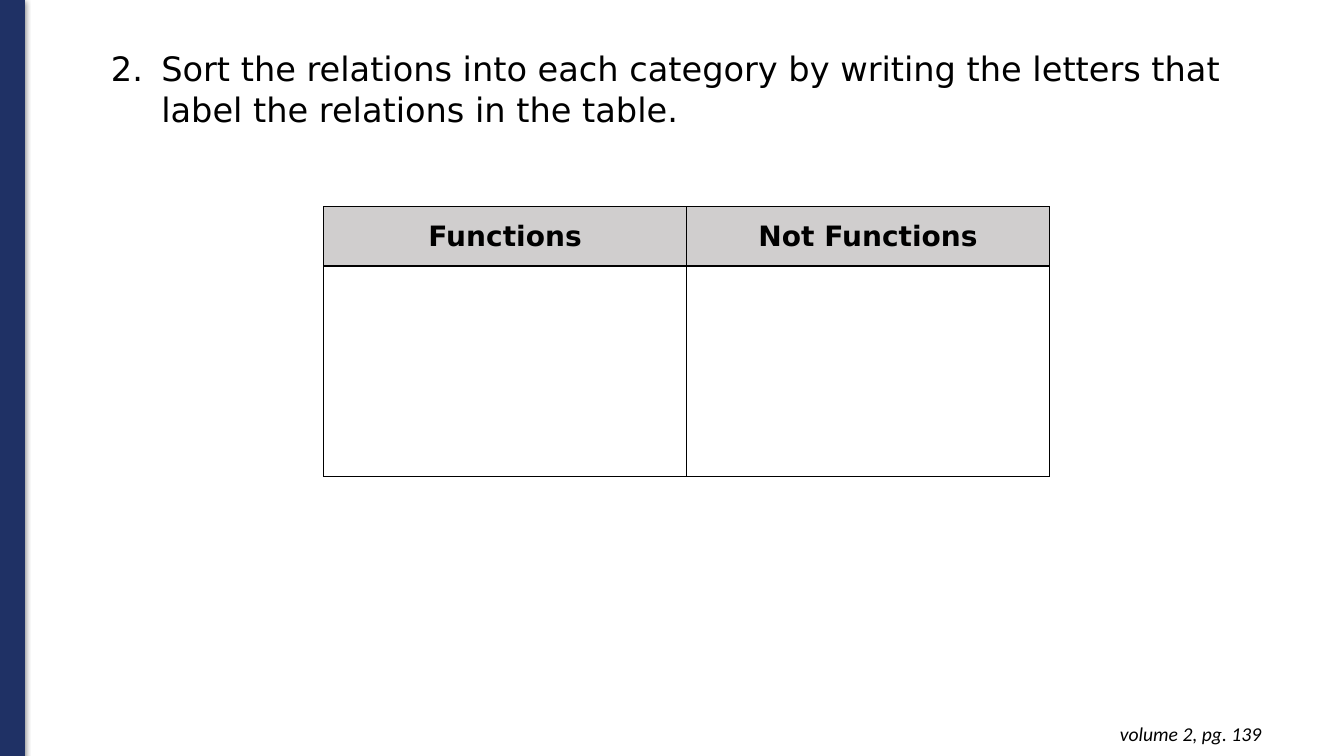
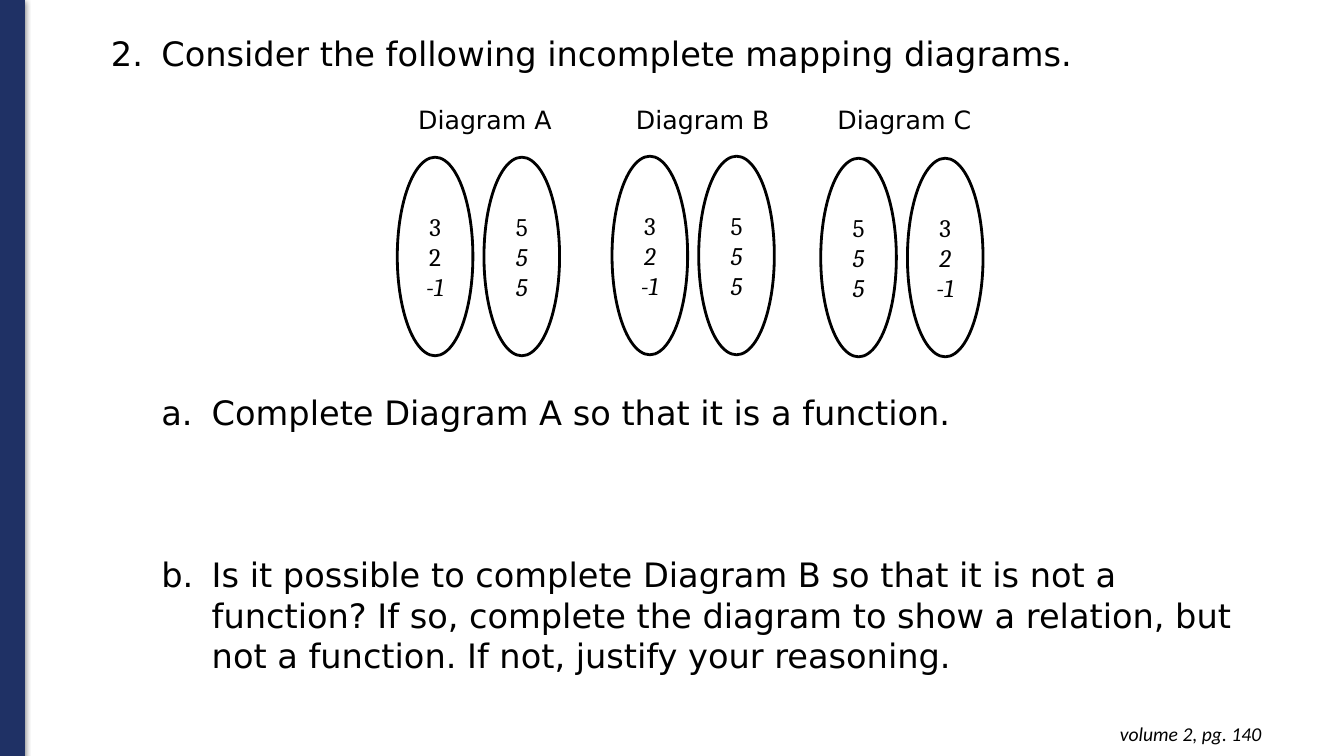
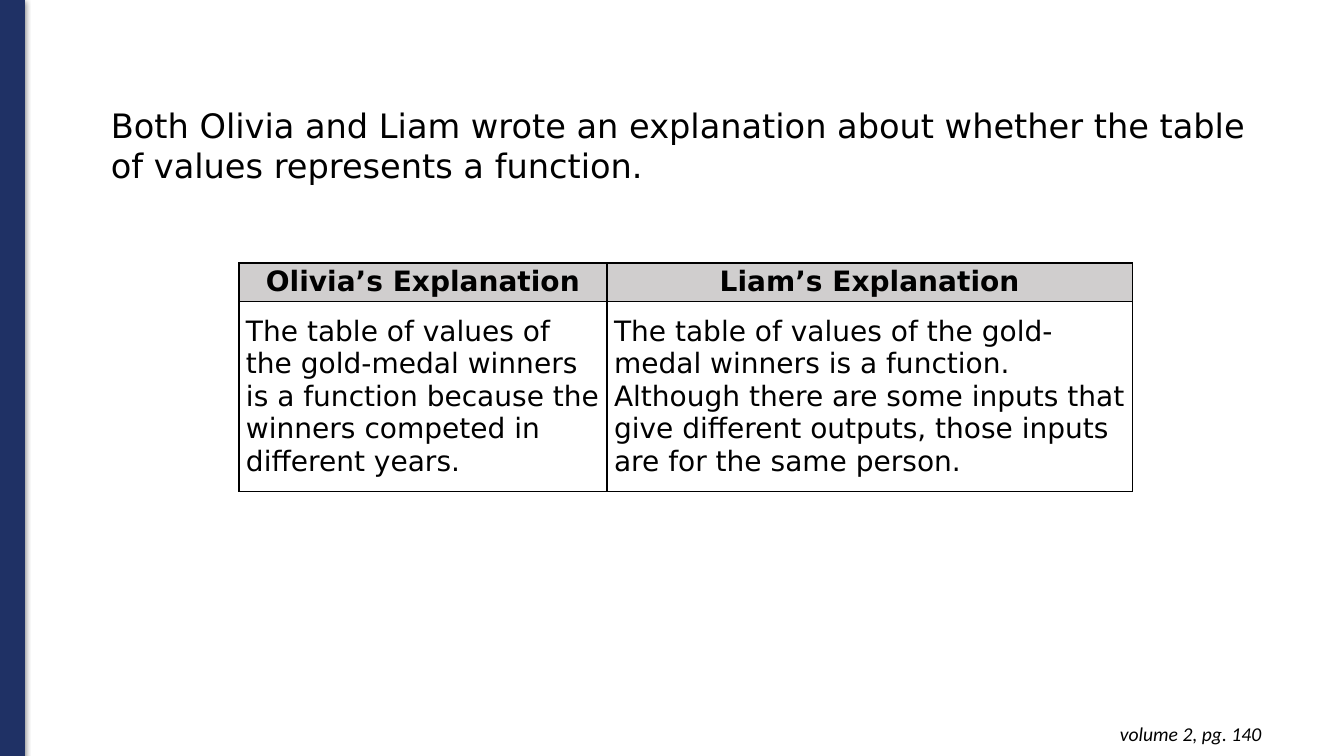
from lxml.etree import SubElement
from pptx import Presentation
from pptx.dml.color import RGBColor
from pptx.enum.shapes import MSO_SHAPE
from pptx.enum.text import MSO_ANCHOR, MSO_AUTO_SIZE, PP_ALIGN
from pptx.oxml.ns import qn
from pptx.util import Inches, Pt

NAVY = "1F3165"
BLACK = "000000"
HEADER_GREY = "D0CECE"
TEXT_FONT = "DejaVu Sans"
FOOTER_FONT = "Calibri"
NUMBER_FONT = "Cambria"
TITLE_ONLY, TITLE_AND_BODY = 5, 1


def color(hex_string):
    return RGBColor.from_string(hex_string)


def add_xml(parent, tag, **attributes):
    return SubElement(parent, qn(tag), {name: str(value) for name, value in attributes.items()})


def add_solid_fill(parent, hex_string):
    fill = add_xml(parent, "a:solidFill")
    return add_xml(fill, "a:srgbClr", val=hex_string)


def write(paragraph, text, size=24, font=TEXT_FONT, bold=False, italic=False,
          align=PP_ALIGN.LEFT, space_before=0):
    paragraph.alignment = align
    paragraph.space_before = Pt(space_before)
    run = paragraph.add_run()
    run.text = text
    run.font.name = font
    run.font.size = Pt(size)
    run.font.bold = bold
    run.font.italic = italic
    run.font.color.rgb = color(BLACK)


def number(paragraph, scheme, indent, start=1):
    """Give the paragraph an automatic number that hangs half an inch."""
    properties = paragraph._p.get_or_add_pPr()
    properties.set("marL", str(Inches(indent)))
    properties.set("indent", str(Inches(-0.5)))
    add_xml(add_xml(properties, "a:buClr"), "a:srgbClr", val=BLACK)
    add_xml(properties, "a:buFontTx")
    add_xml(properties, "a:buAutoNum", type=scheme, startAt=start)


def add_borders(cell):
    properties = cell._tc.get_or_add_tcPr()
    for side in ("a:lnL", "a:lnR", "a:lnT", "a:lnB"):
        add_solid_fill(add_xml(properties, side, w=Pt(1)), BLACK)


class Deck:
    """Holds the presentation, its style and the current slide."""

    def __init__(self):
        self.presentation = Presentation()
        self.presentation.slide_width = Inches(13.33)
        self.presentation.slide_height = Inches(7.5)
        self.slide = None

    def new_slide(self, page, layout=TITLE_ONLY):
        layouts = self.presentation.slide_layouts
        self.slide = self.presentation.slides.add_slide(layouts[layout])
        self.band()
        self.text_box(f"volume 2, pg. {page}", 9.73, 7.06, 2.88, 0.44, inset=0.1,
                      size=14, font=FOOTER_FONT, italic=True, align=PP_ALIGN.RIGHT)

    def band(self):
        band = self.slide.shapes.add_shape(
            MSO_SHAPE.RECTANGLE, 0, 0, Inches(0.24), Inches(7.51))
        band.fill.solid()
        band.fill.fore_color.rgb = color(NAVY)
        band.line.color.rgb = color(NAVY)
        band.line.width = Pt(0.75)
        band.shadow.inherit = False
        effects = band._element.spPr.find(qn("a:effectLst"))
        shadow = add_xml(effects, "a:outerShdw", blurRad=Pt(4.5), dist=Pt(1.5),
                         dir=90 * 60000, rotWithShape=0)
        shadow_color = add_xml(shadow, "a:srgbClr", val=BLACK)
        add_xml(shadow_color, "a:alpha", val=50000)

    def text_box(self, text, left, top, width, height, inset=0.05, **text_format):
        box = self.slide.shapes.add_textbox(
            Inches(left), Inches(top), Inches(width), Inches(height))
        frame = box.text_frame
        frame.word_wrap = True
        frame.margin_left = frame.margin_right = Inches(0.1)
        frame.margin_top = frame.margin_bottom = Inches(inset)
        write(frame.paragraphs[0], text, **text_format)

    def place(self, placeholder, top, height):
        placeholder.left, placeholder.top = Inches(1), Inches(top)
        placeholder.width, placeholder.height = Inches(11.5), Inches(height)
        frame = placeholder.text_frame
        frame.word_wrap = True
        frame.auto_size = MSO_AUTO_SIZE.NONE
        frame.vertical_anchor = MSO_ANCHOR.TOP
        return frame

    def title(self, text, top, height=0.91, start=None):
        paragraph = self.place(self.slide.shapes.title, top, height).paragraphs[0]
        if start:
            number(paragraph, "arabicPeriod", 0.5, start)
        write(paragraph, text)

    def lettered_list(self, items, top, height, gap):
        frame = self.place(self.slide.placeholders[1], top, height)
        for index, item in enumerate(items):
            paragraph = frame.add_paragraph() if index else frame.paragraphs[0]
            number(paragraph, "alphaLcPeriod", 1)
            write(paragraph, item, space_before=gap if index else 0)

    def table(self, rows, left, top, widths, heights):
        """Draw a bordered table whose first row is the header."""
        table = self.slide.shapes.add_table(
            len(rows), len(widths), Inches(left), Inches(top),
            Inches(sum(widths)), Inches(sum(heights))).table
        table.first_row = table.horz_banding = False
        for column, width in zip(table.columns, widths):
            column.width = Inches(width)
        for row_index, (row, height) in enumerate(zip(rows, heights)):
            table.rows[row_index].height = Inches(height)
            for column_index, text in enumerate(row):
                self.cell(table.cell(row_index, column_index), text, row_index == 0)

    def cell(self, cell, text, is_header):
        cell.margin_left = cell.margin_right = Inches(0.07)
        cell.margin_top = cell.margin_bottom = 0
        cell.vertical_anchor = MSO_ANCHOR.MIDDLE
        add_borders(cell)
        if is_header:
            cell.fill.solid()
            cell.fill.fore_color.rgb = color(HEADER_GREY)
        else:
            cell.fill.background()
        if text:
            write(cell.text_frame.paragraphs[0], text, size=20, bold=is_header,
                  align=PP_ALIGN.CENTER if is_header else PP_ALIGN.LEFT)

    def number_oval(self, values, left, top, upright=1):
        """Draw an oval of values; those after the first upright ones are italic."""
        oval = self.slide.shapes.add_shape(
            MSO_SHAPE.OVAL, Inches(left), Inches(top), Inches(0.75), Inches(1.97))
        oval.shadow.inherit = False
        oval.fill.background()
        oval.line.color.rgb = color(BLACK)
        oval.line.width = Pt(2)
        frame = oval.text_frame
        frame.vertical_anchor = MSO_ANCHOR.MIDDLE
        for index, value in enumerate(values):
            paragraph = frame.add_paragraph() if index else frame.paragraphs[0]
            write(paragraph, value, size=18, font=NUMBER_FONT,
                  italic=index >= upright, align=PP_ALIGN.CENTER)

    def mapping_diagram(self, name, label_center, left, top, inputs, outputs, upright=1):
        self.text_box(name, label_center - 0.9, 0.99, 1.8, 0.4, size=18,
                      align=PP_ALIGN.CENTER)
        self.number_oval(inputs, left, top, upright)
        self.number_oval(outputs, left + 0.86, top)


def main():
    deck = Deck()

    deck.new_slide(139)
    deck.title("Sort the relations into each category by writing the letters that "
               "label the relations in the table.", 0.43, start=2)
    deck.table([["Functions", "Not Functions"], ["", ""]],
               3.21, 2.05, [3.6, 3.6], [0.59, 2.09])

    deck.new_slide(140, TITLE_AND_BODY)
    deck.title("Consider the following incomplete mapping diagrams.", 0.28, 0.5, start=2)
    distinct, repeated = ["3", "2", "-1"], ["5", "5", "5"]
    deck.mapping_diagram("Diagram A", 4.81, 3.94, 1.56, distinct, repeated, upright=2)
    deck.mapping_diagram("Diagram B", 6.97, 6.07, 1.55, distinct, repeated)
    deck.mapping_diagram("Diagram C", 8.97, 8.14, 1.57, repeated, distinct)
    deck.lettered_list(
        ["Complete Diagram A so that it is a function.",
         "Is it possible to complete Diagram B so that it is not a function? If so, "
         "complete the diagram to show a relation, but not a function. If not, "
         "justify your reasoning."],
        3.84, 2.93, gap=87)

    deck.new_slide(140)
    deck.title("Both Olivia and Liam wrote an explanation about whether the table "
               "of values represents a function.", 0.99)
    deck.table(
        [["Olivia’s Explanation", "Liam’s Explanation"],
         ["The table of values of the gold-medal winners is a function because the "
          "winners competed in different years.",
          "The table of values of the gold-medal winners is a function. Although there "
          "are some inputs that give different outputs, those inputs are for the same "
          "person."]],
        2.37, 2.61, [3.65, 5.21], [0.38, 1.89])

    deck.presentation.save("out.pptx")


if __name__ == "__main__":
    main()
